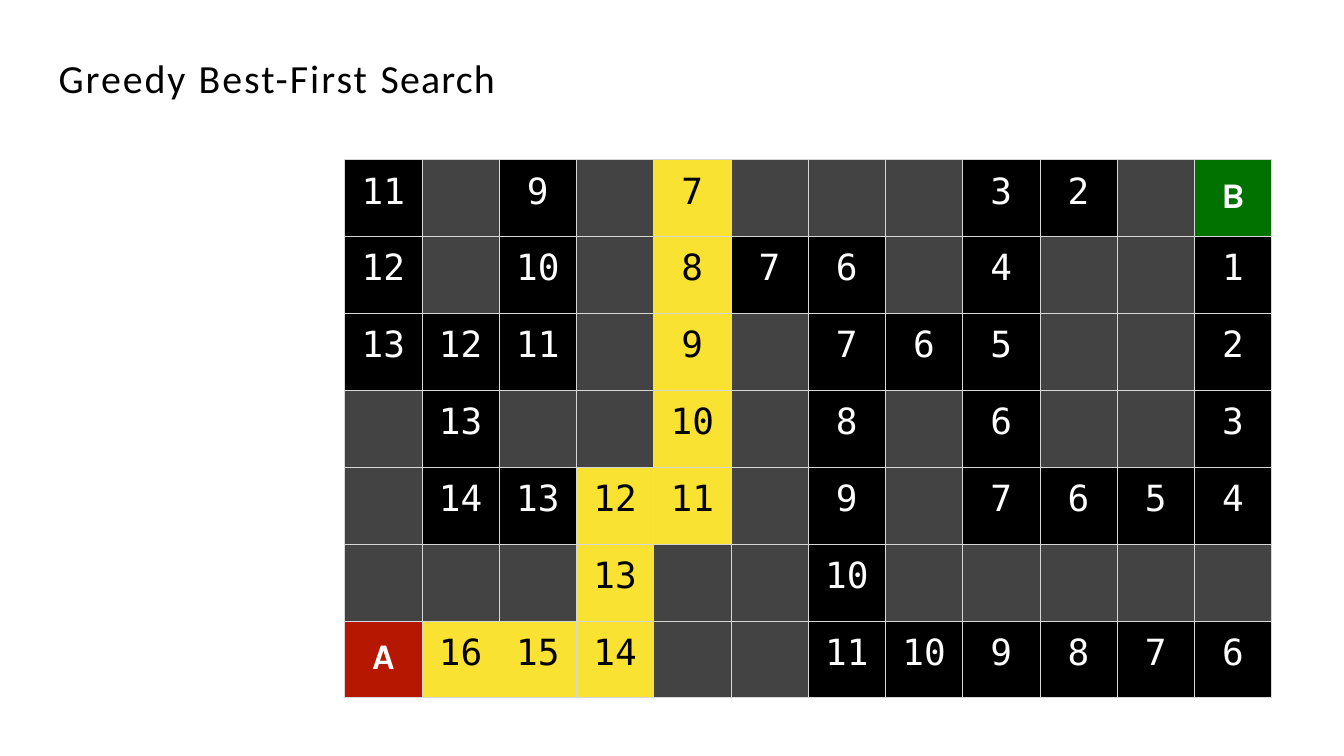
import lxml.etree
import pptx
import pptx.dml.color
import pptx.enum.text
import pptx.oxml.ns
import pptx.util

PX = 9144  # EMU per px, 100 px to the inch
COLORS = {
    "background": "FFFFFF",
    "title": "000000",
    "border": "D6D7D6",
    "open": "000000",
    "wall": "434343",
    "path": "FAE232",
    "start": "B51700",
    "goal": "017100",
    "light text": "FFFFFF",
    "dark text": "000000",
}
KINDS = {"#": "wall", ".": "open", "*": "path", "A": "start", "B": "goal"}
MAZE = [
    ".#.#*###..#B",
    ".#.#*..#.##.",
    "...#*#...##.",
    "#.##*#.#.##.",
    "#..**#.#....",
    "###*##.#####",
    "A***##......",
]
GOAL_ROW, GOAL_COLUMN = 0, 11


def rgb(name):
    return pptx.dml.color.RGBColor.from_string(COLORS[name])


def add_borders(cell):
    properties = cell._tc.get_or_add_tcPr()
    for side in ("a:lnL", "a:lnR", "a:lnT", "a:lnB"):
        line = lxml.etree.SubElement(properties, pptx.oxml.ns.qn(side), w="12700")
        fill = lxml.etree.SubElement(line, pptx.oxml.ns.qn("a:solidFill"))
        lxml.etree.SubElement(fill, pptx.oxml.ns.qn("a:srgbClr"), val=COLORS["border"])


presentation = pptx.Presentation()
presentation.slide_width = 2199 * PX
presentation.slide_height = 1237 * PX
slide = presentation.slides.add_slide(presentation.slide_layouts[6])
slide.background.fill.solid()
slide.background.fill.fore_color.rgb = rgb("background")

# Maze: each free cell shows its Manhattan distance to B
table = slide.shapes.add_table(
    len(MAZE), len(MAZE[0]), 564 * PX, 261 * PX, 1517 * PX, 881 * PX
).table
table.first_row = False
table.horz_banding = False

for row, symbols in enumerate(MAZE):
    for column, symbol in enumerate(symbols):
        cell = table.cell(row, column)
        add_borders(cell)
        cell.fill.solid()
        cell.fill.fore_color.rgb = rgb(KINDS[symbol])
        if symbol == "#":
            continue
        is_endpoint = symbol in "AB"
        distance = abs(row - GOAL_ROW) + abs(column - GOAL_COLUMN)
        cell.margin_left = cell.margin_right = cell.margin_bottom = 0
        cell.margin_top = (26 if is_endpoint else 18) * PX
        paragraph = cell.text_frame.paragraphs[0]
        paragraph.text = symbol if is_endpoint else str(distance)
        paragraph.alignment = pptx.enum.text.PP_ALIGN.CENTER
        paragraph.font.name = "Karla" if is_endpoint else "DejaVu Sans Mono"
        paragraph.font.size = pptx.util.Pt(42.5)
        paragraph.font.bold = is_endpoint
        paragraph.font.color.rgb = rgb("dark text" if symbol == "*" else "light text")

# Title, with letter spacing in hundredths of a point
title = slide.shapes.add_textbox(96 * PX, 86 * PX, 807 * PX, 81 * PX)
frame = title.text_frame
frame.word_wrap = True
frame.vertical_anchor = pptx.enum.text.MSO_ANCHOR.MIDDLE
frame.margin_left = frame.margin_right = frame.margin_bottom = 0
frame.margin_top = 1 * PX
paragraph = frame.paragraphs[0]
paragraph.font.name = "Calibri"
paragraph.font.size = pptx.util.Pt(47)
paragraph.font.color.rgb = rgb("title")
for text, spacing in (("Greedy ", 230), ("Best-First ", 240), ("Search", 140)):
    run = paragraph.add_run()
    run.text = text
    run._r.get_or_add_rPr().set("spc", str(spacing))

presentation.save("out.pptx")
